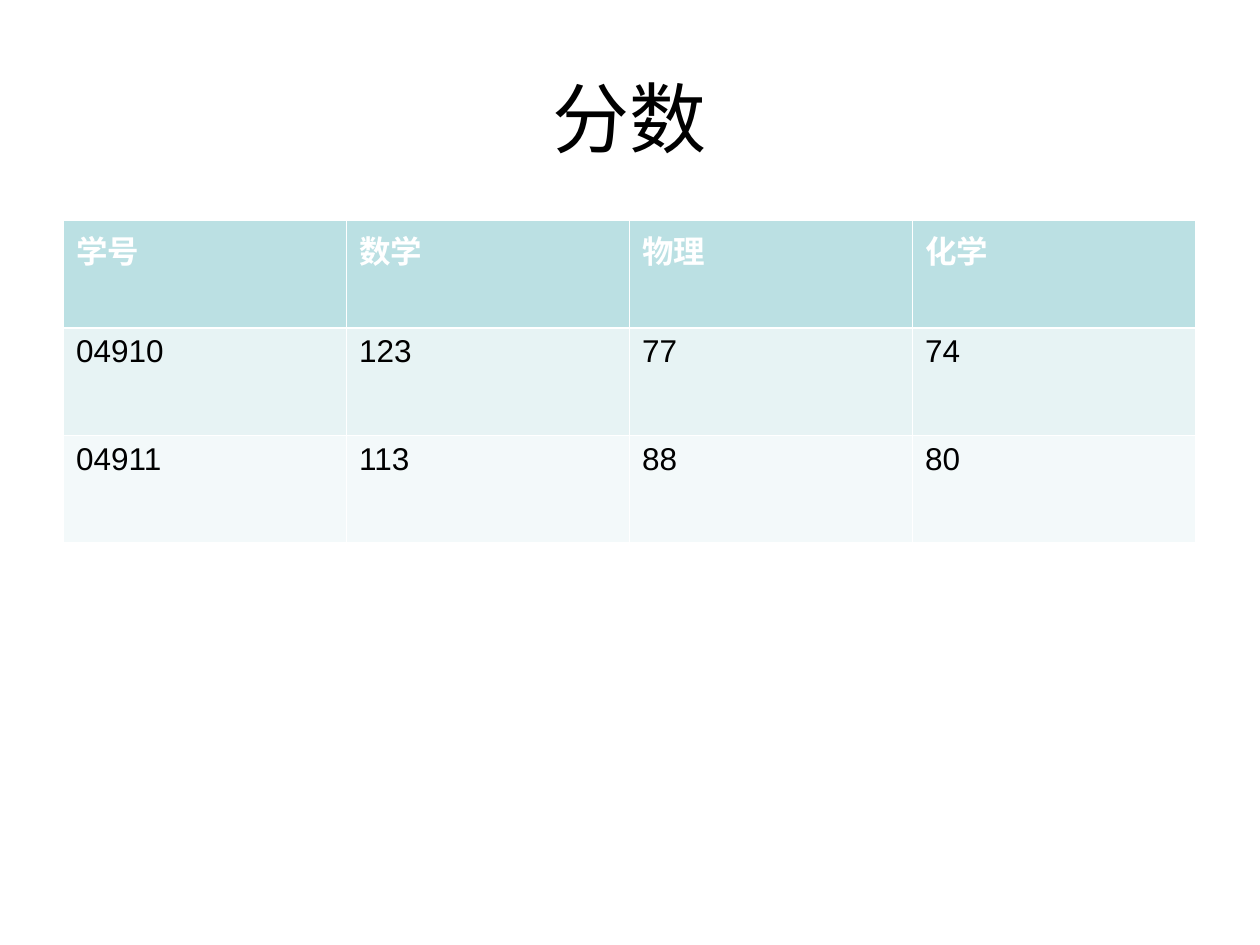
from pptx import Presentation
from pptx.dml.color import RGBColor
from pptx.enum.text import MSO_ANCHOR, PP_ALIGN
from pptx.oxml.ns import qn
from pptx.util import Pt
from lxml.etree import SubElement

WHITE = RGBColor(0xFF, 0xFF, 0xFF)
BLACK = RGBColor(0x00, 0x00, 0x00)
HEADER = RGBColor(0xBB, 0xE0, 0xE3)
BANDS = [RGBColor(0xE7, 0xF3, 0xF4), RGBColor(0xF3, 0xF9, 0xFA)]
THIN, THICK = Pt(0.45), Pt(1.47)

SCORES = [
    ["学号", "数学", "物理", "化学"],
    ["04910", "123", "77", "74"],
    ["04911", "113", "88", "80"],
]


class Deck:
    font = "Arial"

    def __init__(self, s):
        self.s = s

    def style(self, p, size, color, bold=False):
        p.font.name = self.font
        p.font.size = Pt(size)
        p.font.color.rgb = color
        p.font.bold = bold

    def title(self, text, x, y, w, h):
        tf = self.s.shapes.add_textbox(Pt(x), Pt(y), Pt(w), Pt(h)).text_frame
        tf.word_wrap = True
        tf.vertical_anchor = MSO_ANCHOR.MIDDLE
        p = tf.paragraphs[0]
        p.text = text
        p.alignment = PP_ALIGN.CENTER
        self.style(p, 44, BLACK)

    def border(self, cell, side, width):
        ln = SubElement(cell._tc.get_or_add_tcPr(), qn(f"a:ln{side}"), w=str(width))
        fill = SubElement(ln, qn("a:solidFill"))
        SubElement(fill, qn("a:srgbClr"), val=str(WHITE))

    def table(self, rows, x, y, col_w, row_h):
        n, m = len(rows), len(rows[0])
        table = self.s.shapes.add_table(
            n, m, Pt(x), Pt(y), Pt(col_w * m), Pt(row_h * n)).table
        for col in table.columns:
            col.width = Pt(col_w)
        for i, values in enumerate(rows):
            table.rows[i].height = Pt(row_h)
            for j, value in enumerate(values):
                self.cell(table.cell(i, j), value, i)

    def cell(self, cell, text, row):
        header = row == 0
        p = cell.text_frame.paragraphs[0]
        p.text = text
        self.style(p, 18, WHITE if header else BLACK, header)
        self.border(cell, "L", THIN)
        self.border(cell, "R", THIN)
        self.border(cell, "T", THICK if row == 1 else THIN)
        self.border(cell, "B", THICK if header else THIN)
        cell.fill.solid()
        cell.fill.fore_color.rgb = HEADER if header else BANDS[(row - 1) % 2]


def main():
    prs = Presentation()
    prs.slide_width, prs.slide_height = Pt(720), Pt(540)
    deck = Deck(prs.slides.add_slide(prs.slide_layouts[6]))
    deck.title("分数", 36, 21.6, 648, 90)
    deck.table(SCORES, 36.3, 126, 161.7, 61.4)
    prs.save("out.pptx")


if __name__ == "__main__":
    main()
